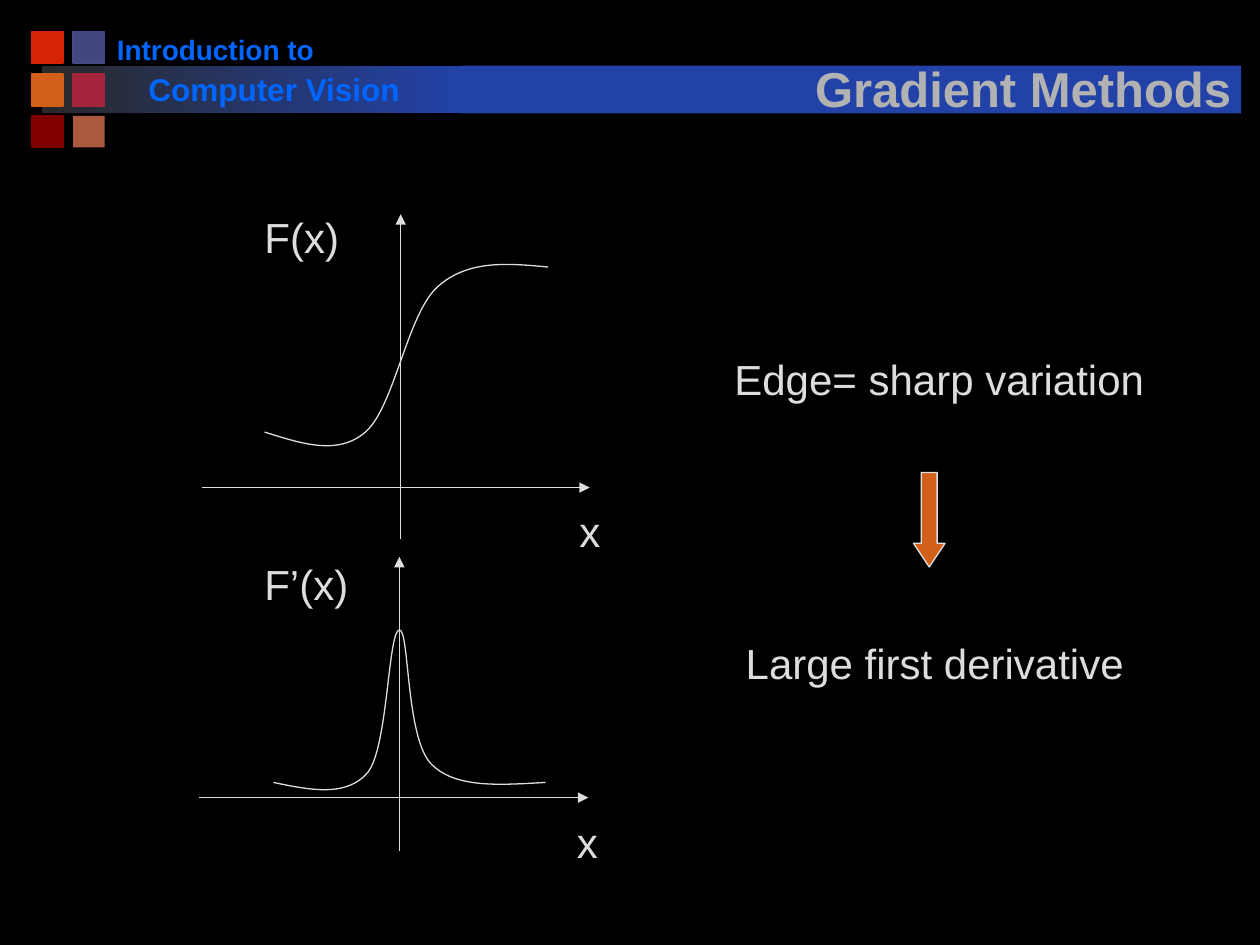
import pptx
import pptx.util
import pptx.oxml
from pptx.dml.color import RGBColor
from pptx.enum.shapes import MSO_CONNECTOR, MSO_SHAPE
from pptx.enum.text import MSO_ANCHOR, MSO_AUTO_SIZE, PP_ALIGN
from pptx.oxml.ns import nsdecls, qn

COLORS = {
    "background": "000000", "text": "DDDDDD", "title": "B2B2B2",
    "course": "0066FF", "bar": "2242A8", "bar_start": "292929",
    "red": "D82204", "indigo": "424680", "indigo_edge": "454A85",
    "orange": "D2601A", "crimson": "A5253D", "maroon": "800000",
    "copper": "AA583E",
}


class Deck:
    FONT = "Arial"
    SCALE = 9144
    LINE = 0.75

    def __init__(self, width, height):
        self.prs = pptx.Presentation()
        self.prs.slide_width, self.prs.slide_height = self.emu(width, height)
        self.s = self.prs.slides.add_slide(self.prs.slide_layouts[5])
        fill = self.s.background.fill
        fill.solid()
        fill.fore_color.rgb = self.color("background")

    def emu(self, *lengths):
        return [pptx.util.Emu(n * self.SCALE) for n in lengths]

    def color(self, name):
        return RGBColor.from_string(COLORS[name])

    def style(self, p, size, color, bold=False):
        f = p.font
        f.name, f.size, f.bold = self.FONT, pptx.util.Pt(size), bold
        f.color.rgb = self.color(color)

    def stroke(self, sp, color="text", width=LINE):
        sp.line.color.rgb = self.color(color)
        sp.line.width = pptx.util.Pt(width)

    def title(self, text, x, y, w, h):
        sp = self.s.shapes.title
        sp.left, sp.top, sp.width, sp.height = self.emu(x, y, w, h)
        sp._element.getparent().append(sp._element)
        tf = sp.text_frame
        tf.auto_size, tf.word_wrap = MSO_AUTO_SIZE.NONE, True
        tf.vertical_anchor = MSO_ANCHOR.BOTTOM
        p = tf.paragraphs[0]
        p.alignment = PP_ALIGN.CENTER
        r = p.add_run()
        r.text = text
        self.style(p, 28, "title", True)
        r._r.get_or_add_rPr().append(pptx.oxml.parse_xml(
            f'<a:effectLst {nsdecls("a")}><a:outerShdw dist="35921" dir="2700000">'
            f'<a:srgbClr val="{COLORS["background"]}"/></a:outerShdw></a:effectLst>'))

    def text(self, text, x, y, w, h, size=24, color="text", bold=False, wrap=False):
        tf = self.s.shapes.add_textbox(*self.emu(x, y, w, h)).text_frame
        tf.word_wrap, tf.auto_size = wrap, MSO_AUTO_SIZE.SHAPE_TO_FIT_TEXT
        p = tf.paragraphs[0]
        p.text = text
        self.style(p, size, color, bold)

    def shape(self, kind, x, y, w, h, fill, edge=None, width=LINE):
        sp = self.s.shapes.add_shape(kind, *self.emu(x, y, w, h))
        sp.shadow.inherit = False
        sp.fill.solid()
        sp.fill.fore_color.rgb = self.color(fill)
        if edge:
            self.stroke(sp, edge, width)
        else:
            sp.line.fill.background()
        return sp

    def gradient_bar(self, x, y, w, h, start, end):
        sp = self.shape(MSO_SHAPE.RECTANGLE, x, y, w, h, end)
        sp.fill.gradient()
        sp.fill.gradient_angle = 0
        for i, (stop, name) in enumerate(zip(sp.fill.gradient_stops, (start, end))):
            stop.position = i
            stop.color.rgb = self.color(name)

    def arrow(self, x1, y1, x2, y2):
        sp = self.s.shapes.add_connector(
            MSO_CONNECTOR.STRAIGHT, *self.emu(x1, y1, x2, y2))
        self.stroke(sp)
        sp.line._get_or_add_ln().append(
            pptx.oxml.parse_xml(f'<a:tailEnd {nsdecls("a")} type="triangle"/>'))
        sp._element.spPr.append(pptx.oxml.parse_xml(f'<a:effectLst {nsdecls("a")}/>'))

    def curve(self, knots):
        start, *rest = knots
        builder = self.s.shapes.build_freeform(*start, scale=self.SCALE)
        builder.add_line_segments(rest, close=False)
        sp = builder.convert_to_shape()
        sp.shadow.inherit = False
        sp.fill.background()
        self.stroke(sp)
        segments = list(sp._element.iter(qn("a:lnTo")))
        for i in range(0, len(segments), 3):
            bezier = pptx.oxml.parse_xml(f'<a:cubicBezTo {nsdecls("a")}/>')
            segments[i].addprevious(bezier)
            for segment in segments[i:i + 3]:
                bezier.append(segment[0])
                segment.getparent().remove(segment)

    def graph(self, x_axis, y_axis, label, x_label, knots):
        self.arrow(*x_axis)
        self.arrow(*y_axis)
        self.text(*label)
        self.text("x", *x_label, 37, 50)
        self.curve(knots)


def main():
    deck = Deck(1000, 750)
    deck.gradient_bar(33, 52, 333, 38, "bar_start", "bar")
    squares = [("red", "red"), ("indigo", "indigo_edge"), ("orange", "orange"),
               ("crimson", "crimson"), ("maroon", "maroon"), ("copper", None)]
    for i, (fill, edge) in enumerate(squares):
        row, column = divmod(i, 2)
        deck.shape(MSO_SHAPE.RECTANGLE, 25 + 33 * column, 25 + round(33.5 * row),
                   25, 25, fill, edge, 1)
    deck.text("Introduction to", 83, 21, 177, 37, 16, "course", True)
    deck.text("Computer Vision", 108, 51, 253, 40, 18, "course", True, True)
    deck.shape(MSO_SHAPE.RECTANGLE, 366, 52, 619, 38, "bar")
    deck.title("Gradient Methods", 624, 31, 376, 67)

    deck.graph((160, 387, 468, 387), (318, 428, 318, 170),
               ("F(x)", 200, 163, 79, 50), (450, 396),
               [(210, 343), (239, 352), (268, 362), (290, 343), (313, 323),
                (323, 250), (347, 228), (371, 206), (403, 209), (435, 212)])
    deck.graph((158, 633, 467, 633), (317, 675, 317, 442),
               ("F’(x)", 200, 438, 87, 50), (448, 643),
               [(217, 621), (246, 627), (275, 633), (292, 613), (308, 593),
                (308, 501), (317, 500), (325, 499), (322, 585), (342, 606),
                (361, 626), (397, 623), (433, 621)])

    deck.text("Edge= sharp variation", 573, 276, 346, 50)
    sp = deck.shape(MSO_SHAPE.DOWN_ARROW, 725, 375, 25, 75, "orange", "text")
    sp.adjustments[0], sp.adjustments[1] = 0.5, 0.75
    deck.text("Large first derivative", 582, 501, 320, 50)
    deck.prs.save("out.pptx")


if __name__ == "__main__":
    main()
